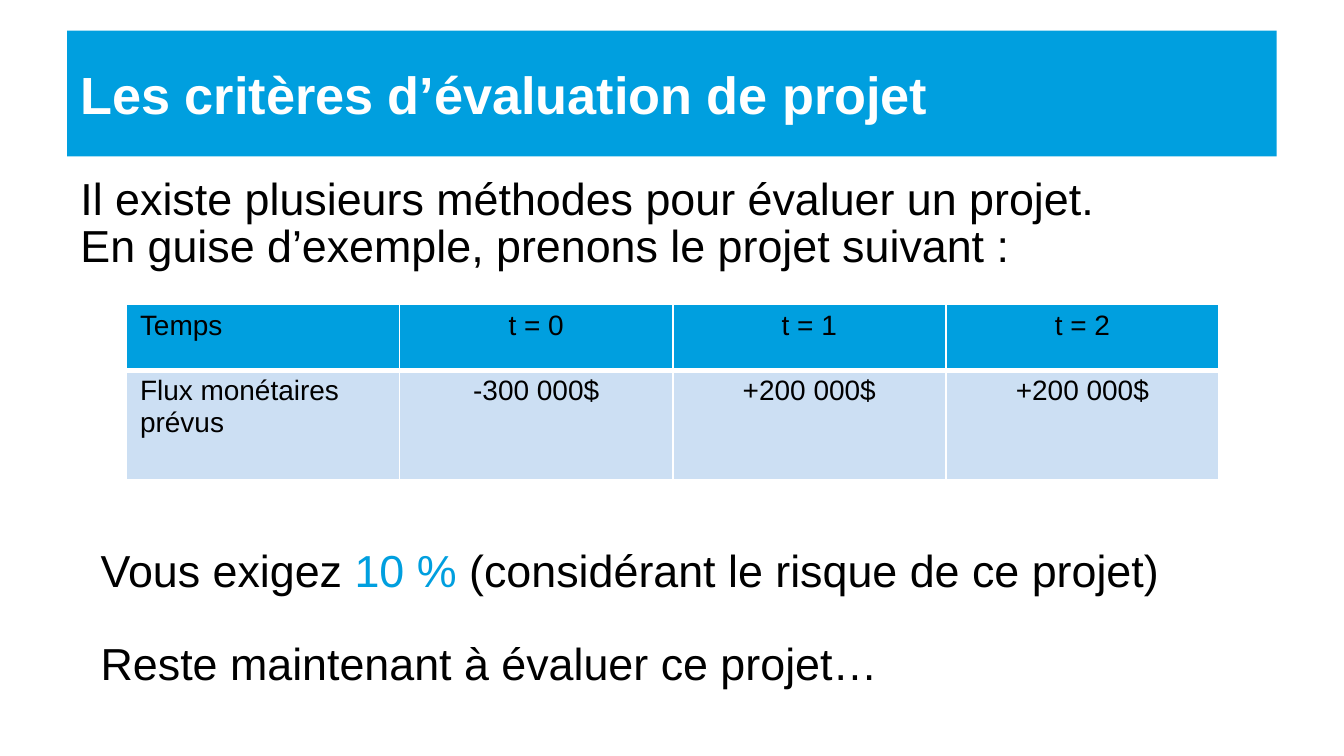
"""Build the slide on project evaluation criteria."""
from dataclasses import dataclass

from lxml.etree import SubElement
from pptx import Presentation
from pptx.dml.color import RGBColor
from pptx.enum.shapes import MSO_SHAPE
from pptx.enum.text import MSO_ANCHOR, PP_ALIGN
from pptx.oxml.ns import qn
from pptx.util import Pt


@dataclass(frozen=True)
class Theme:
    """Hold the colours, font and type sizes."""
    font: str = "Arial"
    accent: str = "009FDF"
    pale: str = "CCDFF3"
    white: str = "FFFFFF"
    black: str = "000000"
    title: float = 28
    body: float = 24
    cell: float = 15
    pitch: float = 24.9


THEME = Theme()
FLUX = [
    ["Temps", "t = 0", "t = 1", "t = 2"],
    ["Flux monétaires prévus", "-300 000$", "+200 000$", "+200 000$"],
]
BODY = [
    ([("Il existe plusieurs méthodes pour évaluer un projet.", THEME.black)], 0, 0),
    ([("En guise d’exemple, prenons le projet suivant :", THEME.black)], 0, 0),
    ([("Vous exigez ", THEME.black), ("10 % ", THEME.accent),
      ("(considérant le risque de ce projet)", THEME.black)], 6, 10.8),
    ([("Reste maintenant à évaluer ce projet…", THEME.black)], 1, 10.8),
]


def apply(obj, formats):
    """Set each attribute of obj from a dict."""
    for name, value in formats.items():
        setattr(obj, name, value)


def paint(fill, color):
    """Give a fill one solid colour."""
    fill.solid()
    fill.fore_color.rgb = RGBColor.from_string(color)


def add_run(p, text, size, color, bold=False):
    """Append a formatted run to a paragraph."""
    r = p.add_run()
    r.text = text
    apply(r.font, {"name": THEME.font, "size": Pt(size), "bold": bold})
    r.font.color.rgb = RGBColor.from_string(color)


def add_title(s, text, box):
    """Add the title band."""
    sp = s.shapes.add_shape(MSO_SHAPE.RECTANGLE, *map(Pt, box))
    sp.shadow.inherit = False
    paint(sp.fill, THEME.accent)
    sp.line.fill.background()
    tf = sp.text_frame
    apply(tf, {"word_wrap": True, "vertical_anchor": MSO_ANCHOR.MIDDLE})
    p = tf.paragraphs[0]
    p.alignment = PP_ALIGN.LEFT
    add_run(p, text, THEME.title, THEME.white, True)


def add_body(s, paragraphs, box):
    """Add body text, with gaps counted in lines."""
    tf = s.shapes.add_textbox(*map(Pt, box)).text_frame
    apply(tf, {"word_wrap": True, "margin_top": Pt(1.3)})
    for i, (runs, gap, indent) in enumerate(paragraphs):
        p = tf.add_paragraph() if i else tf.paragraphs[0]
        p.line_spacing = Pt(THEME.pitch)
        if gap:
            p.space_before = Pt(gap * THEME.pitch)
        if indent:
            p._p.get_or_add_pPr().set("marL", str(Pt(indent)))
        for text, color in runs:
            add_run(p, text, THEME.body, color)


def set_borders(cell, widths):
    """Draw white cell borders ahead of the cell fill."""
    tcPr = cell._tc.get_or_add_tcPr()
    for i, (side, width) in enumerate(widths.items()):
        ln = SubElement(tcPr, qn(f"a:{side}"), w=str(Pt(width)))
        fill = SubElement(ln, qn("a:solidFill"))
        SubElement(fill, qn("a:srgbClr"), val=THEME.white)
        tcPr.insert(i, ln)


def add_flow_table(s, data, box, heights):
    """Add the cash flow table."""
    table = s.shapes.add_table(len(data), len(data[0]), *map(Pt, box)).table
    for col in table.columns:
        col.width = Pt(box[2] / len(data[0]))
    for i, values in enumerate(data):
        table.rows[i].height = Pt(heights[i])
        for j, text in enumerate(values):
            cell = table.cell(i, j)
            apply(cell, {"margin_left": Pt(7.2), "margin_right": Pt(7.2),
                         "margin_top": Pt(3), "margin_bottom": Pt(3)})
            paint(cell.fill, THEME.pale if i else THEME.accent)
            set_borders(cell, {"lnL": 1, "lnR": 1, "lnT": 1 if i == 0 else 3,
                               "lnB": 1 if i else 3})
            p = cell.text_frame.paragraphs[0]
            p.alignment = PP_ALIGN.CENTER if j else PP_ALIGN.LEFT
            add_run(p, text, THEME.cell, THEME.black)


def main():
    """Build and save the slide."""
    prs = Presentation()
    apply(prs, {"slide_width": Pt(720), "slide_height": Pt(405)})
    s = prs.slides.add_slide(prs.slide_layouts[6])
    add_title(s, "Les critères d’évaluation de projet", (36, 16.4, 648, 67.4))
    add_body(s, BODY, (36, 94.3, 641.5, 289.4))
    add_flow_table(s, FLUX, (67.8, 163, 585.2, 94.3), (35.3, 59))
    prs.save("out.pptx")


if __name__ == "__main__":
    main()
